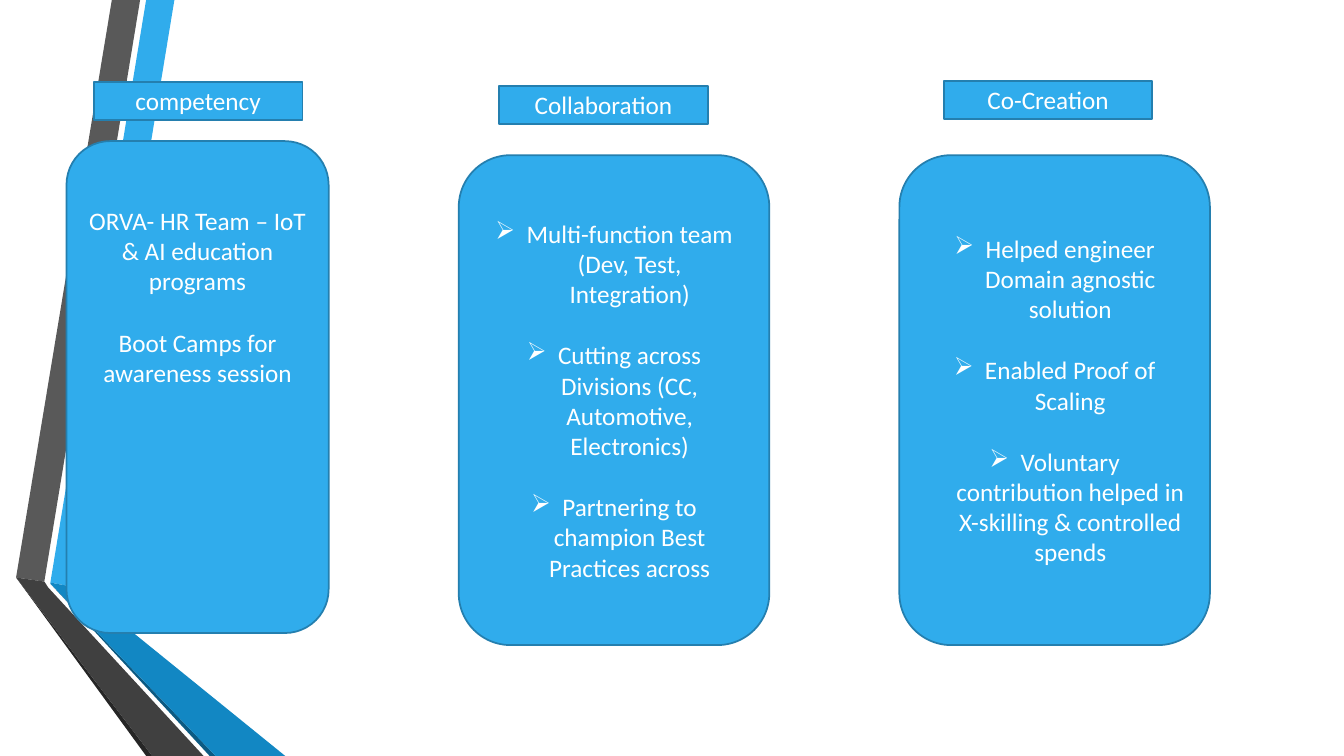
from pptx import Presentation
from pptx.dml.color import RGBColor
from pptx.enum.shapes import MSO_SHAPE as Shape
from pptx.enum.text import MSO_ANCHOR as Anchor, PP_ALIGN as Align
from pptx.oxml.ns import qn
from pptx.util import Inches, Pt
from lxml.etree import SubElement

BLUE = RGBColor(0x30, 0xAC, 0xEC)
OUTLINE = RGBColor(0x24, 0x7F, 0xAF)
MID_BLUE = RGBColor(0x12, 0x87, 0xC3)
DEEP_BLUE = RGBColor(0x0C, 0x5A, 0x82)
GRAY = RGBColor(0x59, 0x59, 0x59)
DARK_GRAY = RGBColor(0x40, 0x40, 0x40)
BLACK_GRAY = RGBColor(0x26, 0x26, 0x26)
WHITE = RGBColor(0xFF, 0xFF, 0xFF)

RIBBONS = [
    (BLUE, [(0.34, 5.78), (0.61, 5.83), (1.57, 0), (1.29, 0)]),
    (GRAY, [(1.23, 0), (0.95, 0), (0, 5.73), (0.28, 5.77)]),
    (BLACK_GRAY, [(0, 5.73), (1.29, 7.5), (1.35, 7.5)]),
    (DEEP_BLUE, [(0.34, 5.79), (1.92, 7.5), (1.98, 7.5)]),
    (MID_BLUE, [(0.34, 5.79), (1.98, 7.5), (2.67, 7.5), (0.61, 5.83), (0.34, 5.78)]),
    (DARK_GRAY, [(1.86, 7.5), (0.32, 5.83), (0.28, 5.77), (0, 5.73), (1.35, 7.5)]),
]

COMPETENCY = ["ORVA- HR Team – IoT & AI education programs",
              "Boot Camps for awareness session"]
COLLABORATION = ["Multi-function team (Dev, Test, Integration)",
                 "Cutting across Divisions (CC, Automotive, Electronics)",
                 "Partnering to champion Best Practices across"]
CO_CREATION = ["Helped engineer Domain agnostic solution",
               "Enabled Proof of Scaling",
               "Voluntary contribution helped in X-skilling & controlled spends"]

PILLARS = [
    ("competency", (0.93, 0.81), COMPETENCY, (0.66, 1.4, 2.6, 4.88), False),
    ("Collaboration", (4.95, 0.85), COLLABORATION, (4.55, 1.54, 3.08, 4.86), True),
    ("Co-Creation", (9.36, 0.8), CO_CREATION, (8.92, 1.54, 3.08, 4.86), True),
]


def add_ribbons(slide, left, top):
    """Draw the folded ribbons from the given top-left corner."""
    for color, points in RIBBONS:
        corners = [(Inches(left + x), Inches(top + y)) for x, y in points]
        builder = slide.shapes.build_freeform(*corners[0])
        builder.add_line_segments(corners[1:], close=True)
        ribbon = builder.convert_to_shape()
        ribbon.shadow.inherit = False
        ribbon.fill.solid()
        ribbon.fill.fore_color.rgb = color
        ribbon.line.fill.background()


def add_bullet(paragraph):
    """Give a paragraph an arrow bullet with a hanging indent."""
    properties = paragraph._p.get_or_add_pPr()
    properties.set("marL", str(Inches(0.31)))
    properties.set("indent", str(Inches(-0.31)))
    SubElement(properties, qn("a:buChar")).set("char", "➢")


def add_box(slide, kind, box, texts, bulleted=False):
    """Add a blue box with centred white paragraphs, a line apart."""
    shape = slide.shapes.add_shape(kind, *map(Inches, box))
    shape.shadow.inherit = False
    shape.fill.solid()
    shape.fill.fore_color.rgb = BLUE
    shape.line.color.rgb = OUTLINE
    shape.line.width = Pt(1.25)
    frame = shape.text_frame
    frame.word_wrap = True
    frame.vertical_anchor = Anchor.MIDDLE
    for index, text in enumerate(texts):
        paragraph = frame.add_paragraph() if index else frame.paragraphs[0]
        paragraph.text = text
        paragraph.alignment = Align.CENTER
        paragraph.font.name = "Calibri"
        paragraph.font.size = Pt(18)
        paragraph.font.color.rgb = WHITE
        if index:
            paragraph.space_before = Pt(22)
        if bulleted:
            add_bullet(paragraph)
    return shape


def add_pillar(slide, title, corner, texts, box, bulleted):
    """Add a card and its title label."""
    card = add_box(slide, Shape.ROUNDED_RECTANGLE, box, texts, bulleted)
    if not bulleted:
        card.text_frame.vertical_anchor = Anchor.TOP
        card.text_frame.margin_top = Inches(0.51)
    add_box(slide, Shape.RECTANGLE, (*corner, 2.07, 0.38), [title])


def main():
    """Build the slide and save it."""
    presentation = Presentation()
    presentation.slide_width = Inches(13.33)
    presentation.slide_height = Inches(7.5)
    slide = presentation.slides.add_slide(presentation.slide_layouts[6])
    add_ribbons(slide, 0.16, 0)
    for pillar in PILLARS:
        add_pillar(slide, *pillar)
    presentation.save("out.pptx")


main()
